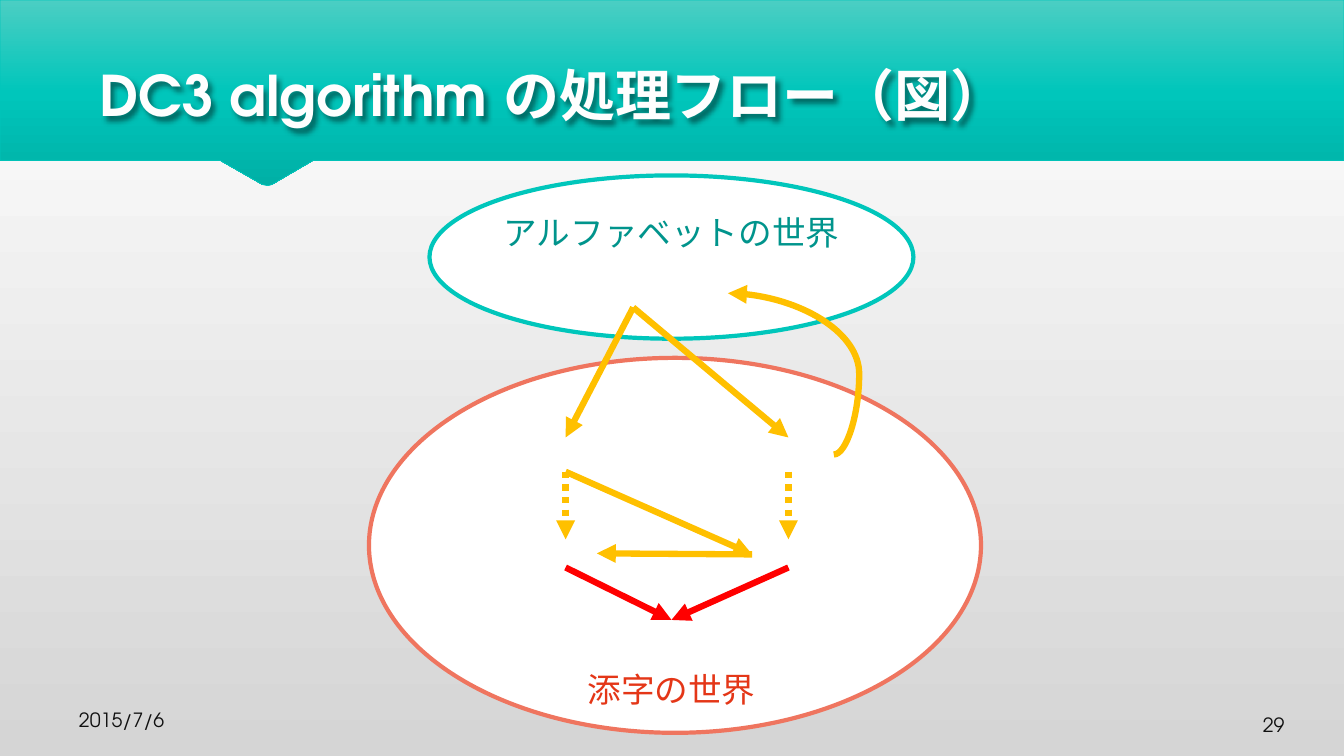
from lxml.etree import SubElement as Sub
from pptx import Presentation
from pptx.dml.color import RGBColor as Rgb
from pptx.enum.dml import MSO_LINE as Dash
from pptx.enum.shapes import MSO_CONNECTOR as Link, MSO_SHAPE as Shape
from pptx.enum.text import MSO_ANCHOR as Anchor, PP_ALIGN as Align
from pptx.oxml.ns import qn
from pptx.util import Inches, Pt

INK = {
    "teal": "00C6BB", "deep": "00948C", "coral": "EF755F", "brick": "E43617",
    "gold": "FFC000", "red": "FF0000", "white": "FFFFFF", "pale": "FEFEFE",
    "gray": "D5D5D5", "text": "101010", "light": "4BCEC3", "dark": "00B0A6",
}


class Deck:
    """Draws styled elements on the current slide."""

    font = "TeX Gyre Adventor"

    def __init__(self):
        self.show = Presentation()
        self.show.slide_width = Inches(13.33)
        self.show.slide_height = Inches(7.5)
        self.page = self.show.slides.add_slide(self.show.slide_layouts[6])

    def color(self, name):
        return Rgb.from_string(INK[name])

    def blend(self, fill, node, names):
        fill.gradient()
        fill.gradient_angle = 270
        stops = node.find(".//" + qn("a:gsLst"))
        for stop in list(stops):
            stops.remove(stop)
        for i, name in enumerate(names):
            stop = Sub(stops, qn("a:gs"), pos=str(100000 * i // (len(names) - 1)))
            Sub(stop, qn("a:srgbClr"), val=INK[name])

    def back(self, *names):
        self.blend(self.page.background.fill, self.page._element, names)

    def edge(self, line, name, width):
        line.color.rgb = self.color(name)
        line.width = Pt(width)

    def banner(self, spots, names, edge):
        spots = [(Inches(x), Inches(y)) for x, y in spots]
        form = self.page.shapes.build_freeform(*spots[0], scale=1.0)
        form.add_line_segments(spots[1:], close=True)
        shape = form.convert_to_shape()
        shape.shadow.inherit = False
        self.blend(shape.fill, shape._element.spPr, names)
        self.edge(shape.line, edge, 0.5)

    def oval(self, box, edge):
        shape = self.page.shapes.add_shape(Shape.OVAL, *map(Inches, box))
        shape.shadow.inherit = False
        shape.fill.solid()
        shape.fill.fore_color.rgb = self.color("white")
        self.edge(shape.line, edge, 3)

    def label(self, box, text, size, name, align=Align.CENTER,
              anchor=Anchor.TOP, bold=False, foot=0.05):
        shape = self.page.shapes.add_textbox(*map(Inches, box))
        frame = shape.text_frame
        frame.word_wrap = True
        frame.vertical_anchor = anchor
        frame.margin_bottom = Inches(foot)
        para = frame.paragraphs[0]
        para.alignment = align
        run = para.add_run()
        run.text = text
        run.font.name = self.font
        run.font.size = Pt(size)
        run.font.bold = bold
        run.font.color.rgb = self.color(name)
        return shape

    def title(self, box, text):
        shape = self.label(box, text, 40, "pale", Align.LEFT, Anchor.BOTTOM, True)
        glow = Sub(shape._element.spPr, qn("a:effectLst"))
        cast = Sub(glow, qn("a:outerShdw"), blurRad="50800", dist="38100",
                   dir="2700000", algn="tl", rotWithShape="0")
        tint = Sub(cast, qn("a:srgbClr"), val="000000")
        Sub(tint, qn("a:alpha"), val="45000")

    def arrow(self, start, end, name="gold", dots=False, bend=None):
        kind = Link.STRAIGHT if bend is None else Link.CURVE
        link = self.page.shapes.add_connector(kind, *map(Inches, start + end))
        self.edge(link.line, name, 4.5)
        if dots:
            link.line.dash_style = Dash.ROUND_DOT
        prop = link._element.spPr
        Sub(prop.find(qn("a:ln")), qn("a:tailEnd"), type="triangle")
        Sub(prop, qn("a:effectLst"))
        if bend is not None:
            guide = prop.find(qn("a:prstGeom")).find(qn("a:avLst"))
            Sub(guide, qn("a:gd"), name="adj1", fmla=f"val {round(bend * 100000)}")


def main():
    deck = Deck()
    deck.back("white", "gray")
    deck.banner([(13.33, 0), (0, 0), (0, 1.59), (2.18, 1.59), (2.6, 1.83),
                 (2.64, 1.84), (2.67, 1.84), (2.7, 1.83), (3.11, 1.59),
                 (13.33, 1.59)], ["light", "teal", "dark"], "teal")
    deck.title((0.89, 0.29, 11.55, 1.03), "DC3 algorithm の処理フロー（図）")
    deck.oval((4.26, 1.74, 4.8, 1.62), "teal")
    deck.label((4.79, 2.05, 3.74, 0.5), "アルファベットの世界", 24, "deep")
    deck.oval((3.66, 3.55, 6.07, 3.72), "coral")
    deck.label((5.61, 6.59, 2.1, 0.5), "添字の世界", 24, "brick")

    left, right = 5.61, 7.82
    top, merge, turn = (6.28, 3.05), (6.66, 6.15), (7.46, 5.5)
    for x in (left, right):
        deck.arrow(top, (x, 4.34))
        deck.arrow((x, 5.63), merge, "red")
        deck.arrow((x, 4.68), (x, 5.35), dots=True)
    deck.arrow((left, 4.68), turn)
    deck.arrow(turn, (5.92, 5.49))
    deck.arrow((8.27, 4.51), (7.22, 2.91), bend=-0.24)

    deck.label((0.26, 6.91, 1.47, 0.4), "2015/7/6", 14, "text",
               Align.RIGHT, Anchor.BOTTOM)
    deck.label((11.68, 6.78, 1.16, 0.54), "29", 14, "text",
               Align.RIGHT, Anchor.BOTTOM, foot=0.01)
    deck.show.save("out.pptx")


if __name__ == "__main__":
    main()
